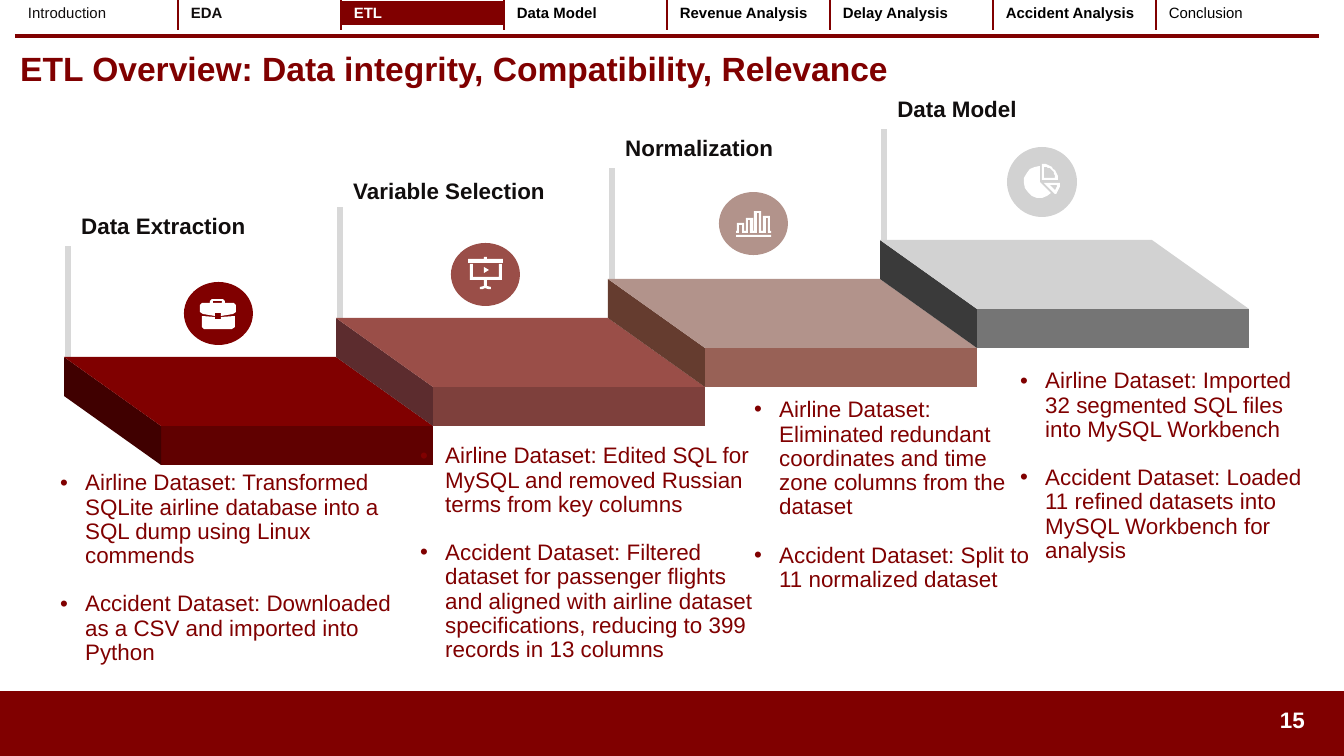
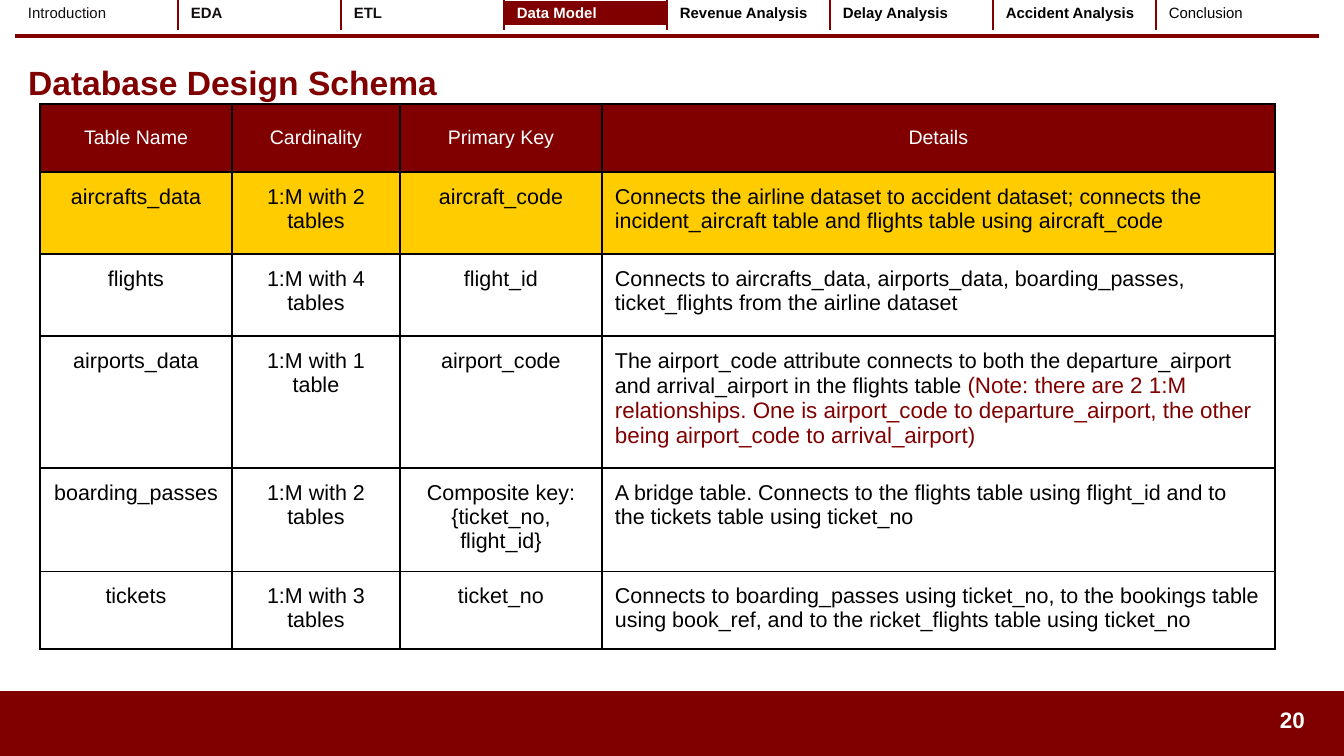
from math import cos, radians, sin

from lxml import etree
from pptx import Presentation
from pptx import util as u
from pptx.dml.color import RGBColor
from pptx.enum import shapes, text
from pptx.oxml.ns import qn

PX = 914400 / 134.4
MAROON, WHITE, BLACK, INK = "800000", "FFFFFF", "000000", "110E0E"
POLE, GOLD = "D8D8D8", "FFCC00"
LEFT, CENTER, RIGHT = text.PP_ALIGN.LEFT, text.PP_ALIGN.CENTER, text.PP_ALIGN.RIGHT
TOP, MIDDLE, BOTTOM = text.MSO_ANCHOR.TOP, text.MSO_ANCHOR.MIDDLE, text.MSO_ANCHOR.BOTTOM


def arc(cx, cy, radius, start, end):
    turns = [start + (end - start) * i / 12 for i in range(13)]
    return [(round(cx + radius * cos(radians(a)), 1), round(cy + radius * sin(radians(a)), 1))
            for a in turns]


SECTIONS = ["Introduction", "EDA", "ETL", "Data Model", "Revenue Analysis",
            "Delay Analysis", "Accident Analysis", "Conclusion"]

BRIEFCASE = [
    [(18, 34), (31, 35), (31, 37), (37, 37), (37, 35), (51, 34), (51, 45), (48, 47), (20, 47),
     (18, 45)],
    [(28, 17), (39, 17), (41, 19), (41, 21), (50, 21), (52, 23), (52, 30), (49, 32), (37, 34),
     (37, 31), (31, 31), (31, 34), (19, 32), (16, 30), (16, 23), (18, 21), (26, 21), (26, 19)],
    [(29, 19), (29, 21), (38, 21), (38, 19)],
]
SCREEN = [
    [(17, 16), (33, 16), (33, 14), (36, 14), (36, 16), (52, 16), (52, 20), (17, 20)],
    [(19, 21), (22, 21), (22, 34), (48, 34), (48, 21), (51, 21), (51, 37), (36, 37), (36, 43),
     (40, 44), (40, 46), (37, 46), (34, 45), (32, 46), (29, 46), (29, 44), (33, 43), (33, 37),
     (19, 37)],
    [(33, 24), (38, 27), (33, 30)],
]
BARS = [
    [(17, 43), (52, 43), (52, 45), (17, 45)],
    [(35, 19), (42, 19), (42, 39), (44, 39), (44, 24), (51, 24), (51, 39), (52, 39), (52, 41),
     (49, 41), (49, 26), (47, 26), (47, 41), (40, 41), (40, 21), (38, 21), (38, 41), (31, 41),
     (31, 28), (29, 28), (29, 41), (23, 41), (23, 33), (20, 33), (20, 41), (17, 41), (17, 39),
     (18, 39), (18, 31), (25, 31), (25, 39), (27, 39), (27, 26), (34, 26), (34, 39), (35, 39)],
]
PIE = [
    [(33, 35)] + arc(33, 35, 16, 45, 270),
    [(35, 33)] + arc(35, 33, 16, 270, 360),
    [(37, 31)] + arc(37, 31, 11, 360, 270),
    [(37, 36)] + arc(37, 36, 16, 0, 45),
    [(43, 38)] + arc(42, 38, 8, 40, 0),
]

STEPS = [
    dict(name="Data Extraction", label_top=206, colors=("600000", "400000", MAROON),
         badge=(184, 282, 69, 63), icon=BRIEFCASE, notes_box=(47, 465, 380, 208),
         notes=["Airline Dataset: Transformed SQLite airline database into a SQL dump using "
                "Linux commends",
                "Accident Dataset: Downloaded as a CSV and imported into Python"]),
    dict(name="Variable Selection", label_top=171, colors=("7E403C", "5C2C2E", "9A4E48"),
         badge=(451, 243, 69, 63), icon=SCREEN, notes_box=(407, 438, 359, 282),
         notes=["Airline Dataset: Edited SQL for MySQL and removed Russian terms from key columns",
                "Accident Dataset: Filtered dataset for passenger flights and aligned with "
                "airline dataset specifications, reducing to 399 records in 13 columns"]),
    dict(name="Normalization", label_top=128, colors=("986156", "653C2F", "B2938B"),
         badge=(719, 192, 69, 63), icon=BARS, notes_box=(741, 392, 308, 234),
         notes=["Airline Dataset: Eliminated redundant coordinates and time zone columns from "
                "the dataset",
                "Accident Dataset: Split to 11 normalized dataset"]),
    dict(name="Data Model", label_top=89, colors=("757575", "3A3A3A", "D2D2D2"),
         badge=(1007, 147, 70, 70), icon=PIE, notes_box=(1007, 363, 317, 234),
         notes=["Airline Dataset: Imported 32 segmented SQL files into MySQL Workbench",
                "Accident Dataset: Loaded 11 refined datasets into MySQL Workbench for analysis"]),
]

SCHEMA_COLUMNS = [192, 168, 202, 673]
SCHEMA_ROWS = [68, 82, 82, 126, 99, 75]
SCHEMA = [
    ("Table Name", "Cardinality", "Primary Key", "Details"),
    ("aircrafts_data", "1:M with 2 tables", "aircraft_code",
     "Connects the airline dataset to accident dataset; connects the incident_aircraft table "
     "and flights table using aircraft_code"),
    ("flights", "1:M with 4 tables", "flight_id",
     "Connects to aircrafts_data, airports_data, boarding_passes, ticket_flights from the "
     "airline dataset"),
    ("airports_data", "1:M with 1 table", "airport_code",
     [("The airport_code attribute connects to both the departure_airport and arrival_airport "
       "in the flights table ", {}),
      ("(Note: there are 2 1:M relationships. One is airport_code to departure_airport, "
       "the other being airport_code to arrival_airport)", dict(size=12, color=MAROON))]),
    ("boarding_passes", "1:M with 2 tables", "Composite key: {ticket_no, flight_id}",
     "A bridge table. Connects to the flights table using flight_id and to the tickets table "
     "using ticket_no"),
    ("tickets", "1:M with 3 tables", "ticket_no",
     "Connects to boarding_passes using ticket_no, to the bookings table using book_ref, and "
     "to the ricket_flights table using ticket_no"),
]


def px(length):
    return u.Emu(round(length * PX))


def rgb(color):
    return RGBColor.from_string(color)


def add_bullet(paragraph, color):
    props = paragraph._p.get_or_add_pPr()
    props.set("marL", str(px(25)))
    props.set("indent", str(-px(25)))
    tint = etree.SubElement(props, qn("a:buClr"))
    etree.SubElement(tint, qn("a:srgbClr"), val=color)
    etree.SubElement(props, qn("a:buFont"), typeface="Arial")
    etree.SubElement(props, qn("a:buChar"), char="•")


def write(frame, paragraphs, size=12, color=INK, bold=False, align=LEFT, bullet=False,
          spacing=None, gap=0):
    for i, content in enumerate(paragraphs):
        paragraph = frame.paragraphs[0] if i == 0 else frame.add_paragraph()
        if bullet:
            add_bullet(paragraph, color)
        paragraph.alignment = align
        if spacing:
            paragraph.line_spacing = spacing
        if i and gap:
            paragraph.space_before = u.Pt(gap)
        for words, own in [(content, {})] if isinstance(content, str) else content:
            run = paragraph.add_run()
            run.text = words
            run.font.name = "Arial"
            run.font.size = u.Pt(own.get("size", size))
            run.font.bold = bold
            run.font.color.rgb = rgb(own.get("color", color))


def add_text(slide, box, paragraphs, anchor=MIDDLE, **style):
    frame = slide.shapes.add_textbox(*map(px, box)).text_frame
    frame.word_wrap = True
    frame.vertical_anchor = anchor
    write(frame, paragraphs, **style)


def paint(shape, fill, line=None):
    shape.shadow.inherit = False
    shape.fill.solid()
    shape.fill.fore_color.rgb = rgb(fill)
    if line:
        shape.line.color.rgb = rgb(line)
        shape.line.width = u.Pt(1)
    else:
        shape.line.fill.background()


def add_preset(slide, kind, box, fill, line=None):
    paint(slide.shapes.add_shape(kind, *map(px, box)), fill, line)


def add_outline(slide, contours, left, top, fill):
    moved = [[(left + x, top + y) for x, y in contour] for contour in contours]
    builder = slide.shapes.build_freeform(*moved[0][0], scale=PX)
    for i, contour in enumerate(moved):
        if i:
            builder.move_to(*contour[0])
        builder.add_line_segments(contour[1:], close=True)
    paint(builder.convert_to_shape(), fill)


def add_line(slide, start, end, color, width):
    line = slide.shapes.add_connector(shapes.MSO_CONNECTOR.STRAIGHT, *map(px, start + end))
    line.line.color.rgb = rgb(color)
    line.line.width = u.Pt(width)
    etree.SubElement(line._element.spPr, qn("a:effectLst"))


def add_grid(slide, left, top, columns, rows):
    grid = slide.shapes.add_table(len(rows), len(columns), px(left), px(top),
                                  px(sum(columns)), px(sum(rows))).table
    grid.first_row = grid.horz_banding = False
    for column, width in zip(grid.columns, columns):
        column.width = px(width)
    for row, height in zip(grid.rows, rows):
        row.height = px(height)
    return grid


def fill_cell(cell, content, fill, borders, margin, anchor=TOP, **style):
    props = cell._tc.get_or_add_tcPr()
    for side, (color, width) in zip("LRTB", borders):
        edge = etree.SubElement(props, qn("a:ln" + side), w=str(u.Pt(width)))
        solid = etree.SubElement(edge, qn("a:solidFill"))
        etree.SubElement(solid, qn("a:srgbClr"), val=color)
    cell.fill.solid()
    cell.fill.fore_color.rgb = rgb(fill)
    cell.margin_left = cell.margin_right = px(13)
    cell.margin_top = cell.margin_bottom = px(margin)
    cell.vertical_anchor = anchor
    write(cell.text_frame, [content], **style)


def add_navigation(slide, section):
    active, last = SECTIONS.index(section), len(SECTIONS) - 1
    grid = add_grid(slide, 15, 0, [163] * len(SECTIONS), [24])
    for i, name in enumerate(SECTIONS):
        borders = [(MAROON if i else WHITE, 1), (MAROON if i < last else WHITE, 1),
                   (WHITE, 1), (WHITE, 3)]
        color = WHITE if i == active else BLACK if i > active else INK
        fill_cell(grid.cell(0, i), name, MAROON if i == active else WHITE, borders, 5,
                  size=8, bold=0 < i < last, color=color)


def add_page(deck, section, title, title_at, number):
    slide = deck.slides.add_slide(deck.slide_layouts[6])
    add_preset(slide, shapes.MSO_SHAPE.RECTANGLE, (0, 692, 1344, 66), MAROON, MAROON)
    add_line(slide, (15, 36), (1319, 36), MAROON, 2)
    add_text(slide, (1243, 700, 75, 40), [number], color=WHITE, bold=True, align=RIGHT)
    add_text(slide, title_at + (1304, 81), [title], size=18, color=MAROON, bold=True)
    add_navigation(slide, section)
    return slide


def add_step(slide, index, step):
    width, height, shift, depth = 272, 39, 97, 69
    left, top = 64 + width * index, 357 - height * index
    front, side, tread = step["colors"]
    pole = left + 4
    add_line(slide, (pole, top), (pole, top - 111), POLE, 3)
    add_preset(slide, shapes.MSO_SHAPE.RECTANGLE, (left + shift, top + depth, width, height),
               front)
    add_outline(slide, [[(0, 0), (shift, depth), (shift, depth + height), (0, height)]],
                left, top, side)
    add_outline(slide, [[(0, 0), (width, 0), (width + shift, depth), (shift, depth)]],
                left, top, tread)
    add_preset(slide, shapes.MSO_SHAPE.OVAL, step["badge"], tread)
    add_outline(slide, step["icon"], *step["badge"][:2], WHITE)
    add_text(slide, (pole, step["label_top"], 255, 40), [step["name"]], anchor=BOTTOM, bold=True)


def build_overview(deck):
    slide = add_page(deck, "ETL", "ETL Overview: Data integrity, Compatibility, Relevance",
                     (7, 28), "15")
    for index, step in enumerate(STEPS):
        add_step(slide, index, step)
    for step in STEPS:
        add_text(slide, step["notes_box"], step["notes"], anchor=TOP, color=MAROON,
                 bullet=True, spacing=0.9, gap=13)


def build_schema(deck):
    slide = add_page(deck, "Data Model", "Database Design Schema", (15, 42), "20")
    grid = add_grid(slide, 40, 104, SCHEMA_COLUMNS, SCHEMA_ROWS)
    for r, row in enumerate(SCHEMA):
        header = r == 0
        fill = MAROON if header else GOLD if r == 1 else WHITE
        for c, content in enumerate(row):
            fill_cell(grid.cell(r, c), content, fill, [(BLACK, 1)] * 4, 13,
                      anchor=MIDDLE if header else TOP, size=10.5 if header else 11.5,
                      color=WHITE if header else BLACK,
                      align=CENTER if header or c < 3 else LEFT)


def main():
    deck = Presentation()
    deck.slide_width, deck.slide_height = px(1344), px(756)
    build_overview(deck)
    build_schema(deck)
    deck.save("out.pptx")


if __name__ == "__main__":
    main()
